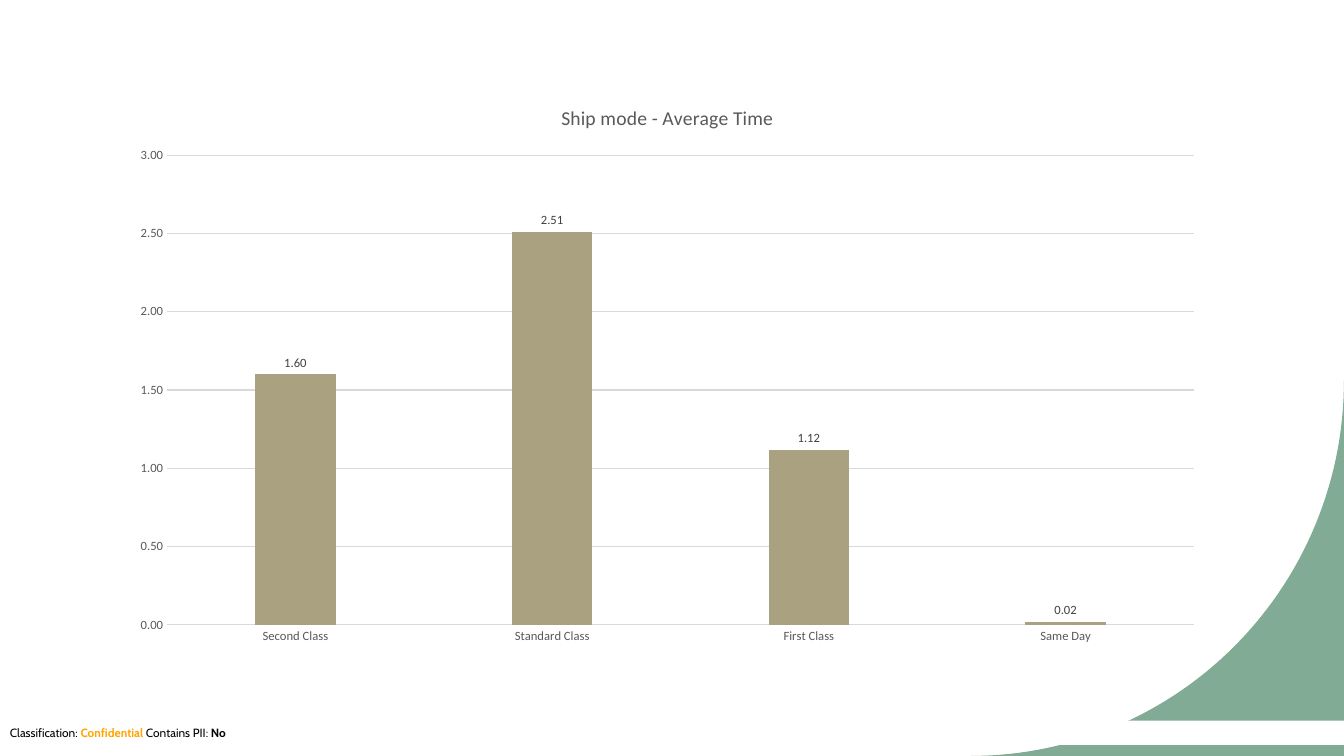
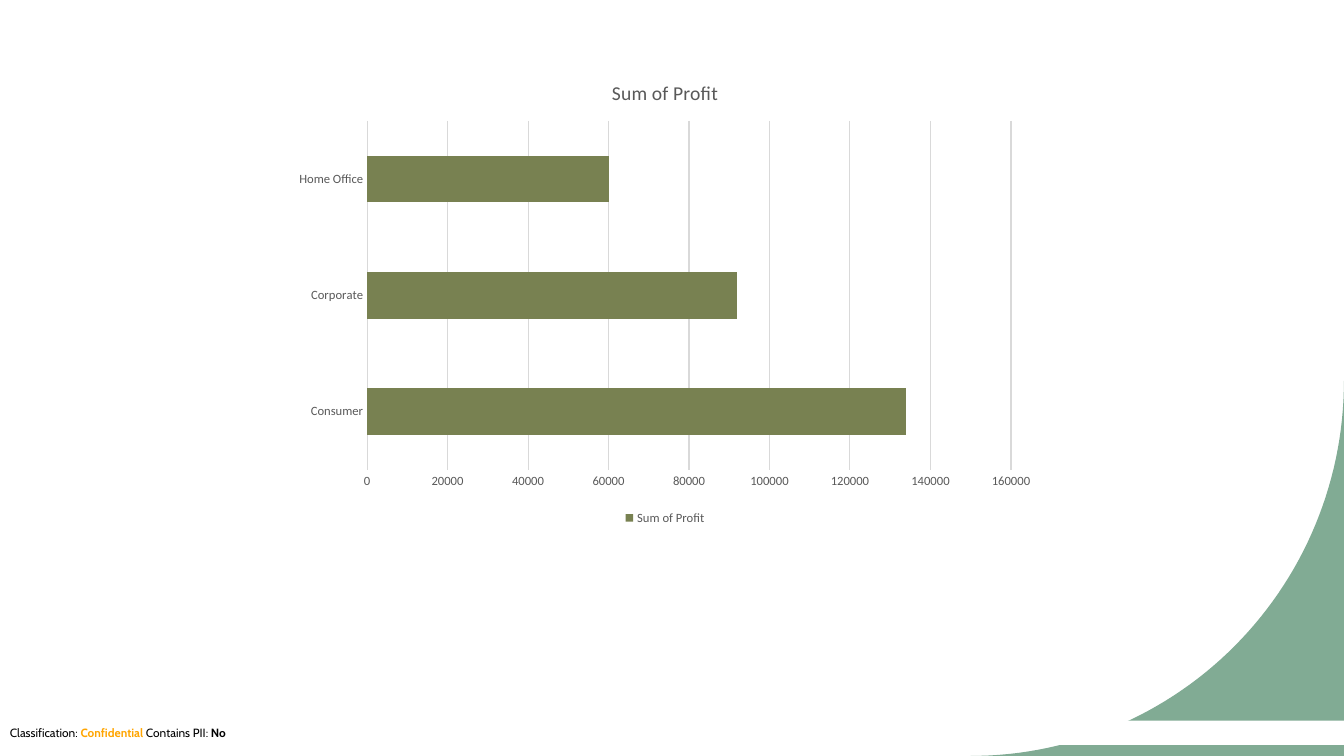
from dataclasses import dataclass
from math import cos, pi, sin

from lxml import etree
from pptx import Presentation
from pptx.chart.data import CategoryChartData
from pptx.dml.color import RGBColor
from pptx.enum.chart import (
    XL_CHART_TYPE as ChartType,
    XL_LABEL_POSITION as LabelPosition,
    XL_LEGEND_POSITION as LegendPosition,
    XL_TICK_MARK as TickMark,
)
from pptx.enum.shapes import MSO_SHAPE as Preset
from pptx.enum.text import MSO_ANCHOR as Anchor, PP_ALIGN as Align
from pptx.oxml.ns import qn
from pptx.util import Cm, Pt


@dataclass(frozen=True)
class Theme:
    # Colours
    white: str = "FFFFFF"
    black: str = "000000"
    corner: str = "81AB94"
    alert: str = "FFA500"
    grid: str = "D9D9D9"
    chart_text: str = "595959"
    label_text: str = "404040"
    tan: str = "AAA180"
    olive: str = "788151"
    # Fonts and sizes
    footer_font: str = "Cabin"
    chart_font: str = "Calibri"
    footer_size: float = 8.5
    title_size: float = 14
    axis_size: float = 9
    line_width: float = 0.75


@dataclass(frozen=True)
class Box:
    """A region, in centimetres."""
    left: float
    top: float
    width: float
    height: float

    def lengths(self):
        return Cm(self.left), Cm(self.top), Cm(self.width), Cm(self.height)


THEME = Theme()
PAGE = Box(0, 0, 33.87, 19.05)
CORNER = Box(24.46, 9.6, 9.41, 9.45)
FOOTER = Box(0, 18.16, PAGE.width, 0.61)


def rgb(code):
    return RGBColor.from_string(code)


def style_font(font, size, color, name=THEME.chart_font, bold=False):
    font.size, font.name, font.bold = Pt(size), name, bold
    font.color.rgb = rgb(color)


def add_text(para, text, **style):
    span = para.add_run()
    span.text = text
    style_font(span.font, **style)


def paint(shape, color):
    shape.fill.solid()
    shape.fill.fore_color.rgb = rgb(color)
    shape.line.fill.background()
    shape.shadow.inherit = False


def add_corner(page, box, steps=60):
    """Fill the part of the box that lies outside a quarter ellipse."""
    angles = [pi / 2 * step / steps for step in range(steps + 1)]
    arc = [(Cm(box.left + box.width * cos(a)), Cm(box.top + box.height * sin(a)))
           for a in angles]
    outline = page.shapes.build_freeform(*arc[0], scale=1.0)
    bottom_right = (Cm(box.left + box.width), Cm(box.top + box.height))
    outline.add_line_segments(arc[1:] + [bottom_right], close=True)
    paint(outline.convert_to_shape(), THEME.corner)


def add_footer(page, box):
    band = page.shapes.add_shape(Preset.RECTANGLE, *box.lengths())
    paint(band, THEME.white)
    frame = band.text_frame
    frame.word_wrap = True
    frame.margin_top = frame.margin_bottom = 0
    frame.vertical_anchor = Anchor.MIDDLE
    para = frame.paragraphs[0]
    para.alignment = Align.LEFT
    for text, color, bold in (
        ("Classification: ", THEME.black, False),
        ("Confidential", THEME.alert, True),
        (" Contains PII: ", THEME.black, False),
        ("No", THEME.black, True),
    ):
        add_text(para, text, size=THEME.footer_size, color=color,
                 name=THEME.footer_font, bold=bold)


def set_plot_area(chart, box, plot):
    """Fix the inner plot area; plot is measured from the corner of box."""
    area = chart._chartSpace.find(".//" + qn("c:plotArea"))
    for old in area.findall(qn("c:layout")):
        area.remove(old)
    layout = etree.Element(qn("c:layout"))
    manual = etree.SubElement(layout, qn("c:manualLayout"))
    for tag, value in (
        ("layoutTarget", "inner"), ("xMode", "edge"), ("yMode", "edge"),
        ("x", plot.left / box.width), ("y", plot.top / box.height),
        ("w", plot.width / box.width), ("h", plot.height / box.height),
    ):
        etree.SubElement(manual, qn("c:" + tag)).set("val", str(value))
    area.insert(0, layout)


def style_axes(chart, top, step, number_format):
    for axis in (chart.category_axis, chart.value_axis):
        axis.major_tick_mark = axis.minor_tick_mark = TickMark.NONE
        style_font(axis.tick_labels.font, THEME.axis_size, THEME.chart_text)
    values = chart.value_axis
    values.minimum_scale, values.maximum_scale, values.major_unit = 0, top, step
    values.tick_labels.number_format = number_format
    values.tick_labels.number_format_is_linked = False
    values.format.line.fill.background()
    values.has_major_gridlines = True
    for line in (chart.category_axis.format.line, values.major_gridlines.format.line):
        line.color.rgb = rgb(THEME.grid)
        line.width = Pt(THEME.line_width)


def add_bars(page, box, plot, kind, title, series, data, color, gap, overlap,
             top, step, number_format="General"):
    """Add a one-series bar or column chart and return it."""
    chart_data = CategoryChartData()
    chart_data.categories = list(data)
    chart_data.add_series(series, list(data.values()))
    chart = page.shapes.add_chart(kind, *box.lengths(), chart_data).chart
    chart.has_legend = False
    chart.has_title = True
    add_text(chart.chart_title.text_frame.paragraphs[0], title,
             size=THEME.title_size, color=THEME.chart_text)
    style_axes(chart, top, step, number_format)
    set_plot_area(chart, box, plot)

    bars = chart.plots[0]
    bars.gap_width, bars.overlap, bars.vary_by_categories = gap, overlap, False
    fill = bars.series[0].format.fill
    fill.solid()
    fill.fore_color.rgb = rgb(color)
    return chart


def add_value_labels(chart, number_format):
    bars = chart.plots[0]
    bars.has_data_labels = True
    labels = bars.data_labels
    labels.show_value = True
    labels.position = LabelPosition.OUTSIDE_END
    labels.number_format = number_format
    labels.number_format_is_linked = False
    style_font(labels.font, THEME.axis_size, THEME.label_text)


def add_legend(chart):
    chart.has_legend = True
    chart.legend.position = LegendPosition.BOTTOM
    chart.legend.include_in_layout = False
    style_font(chart.legend.font, THEME.axis_size, THEME.chart_text)


def add_page(deck):
    """Add a page without a title, with the shared corner and footer."""
    page = deck.slides.add_slide(deck.slide_layouts.get_by_name("Blank"))
    add_corner(page, CORNER)
    add_footer(page, FOOTER)
    return page


def ship_mode_page(deck):
    chart = add_bars(
        add_page(deck), Box(3, 2.11, 27.64, 14.38), Box(1.21, 1.8, 25.88, 11.84),
        ChartType.COLUMN_CLUSTERED, "Ship mode - Average Time", "Series 1",
        {"Second Class": 1.6, "Standard Class": 2.51, "First Class": 1.12,
         "Same Day": 0.02},
        THEME.tan, gap=219, overlap=-27, top=3, step=0.5, number_format="0.00")
    add_value_labels(chart, "0.00")


def profit_page(deck):
    chart = add_bars(
        add_page(deck), Box(7.16, 1.55, 19.2, 11.79), Box(2.09, 1.5, 16.23, 8.79),
        ChartType.BAR_STACKED, "Sum of Profit", "Sum of Profit",
        {"Consumer": 134000, "Corporate": 92000, "Home Office": 60000},
        THEME.olive, gap=150, overlap=100, top=160000, step=20000)
    add_legend(chart)


def main():
    deck = Presentation()
    deck.slide_width, deck.slide_height = Cm(PAGE.width), Cm(PAGE.height)
    ship_mode_page(deck)
    profit_page(deck)
    deck.save("out.pptx")


if __name__ == "__main__":
    main()
